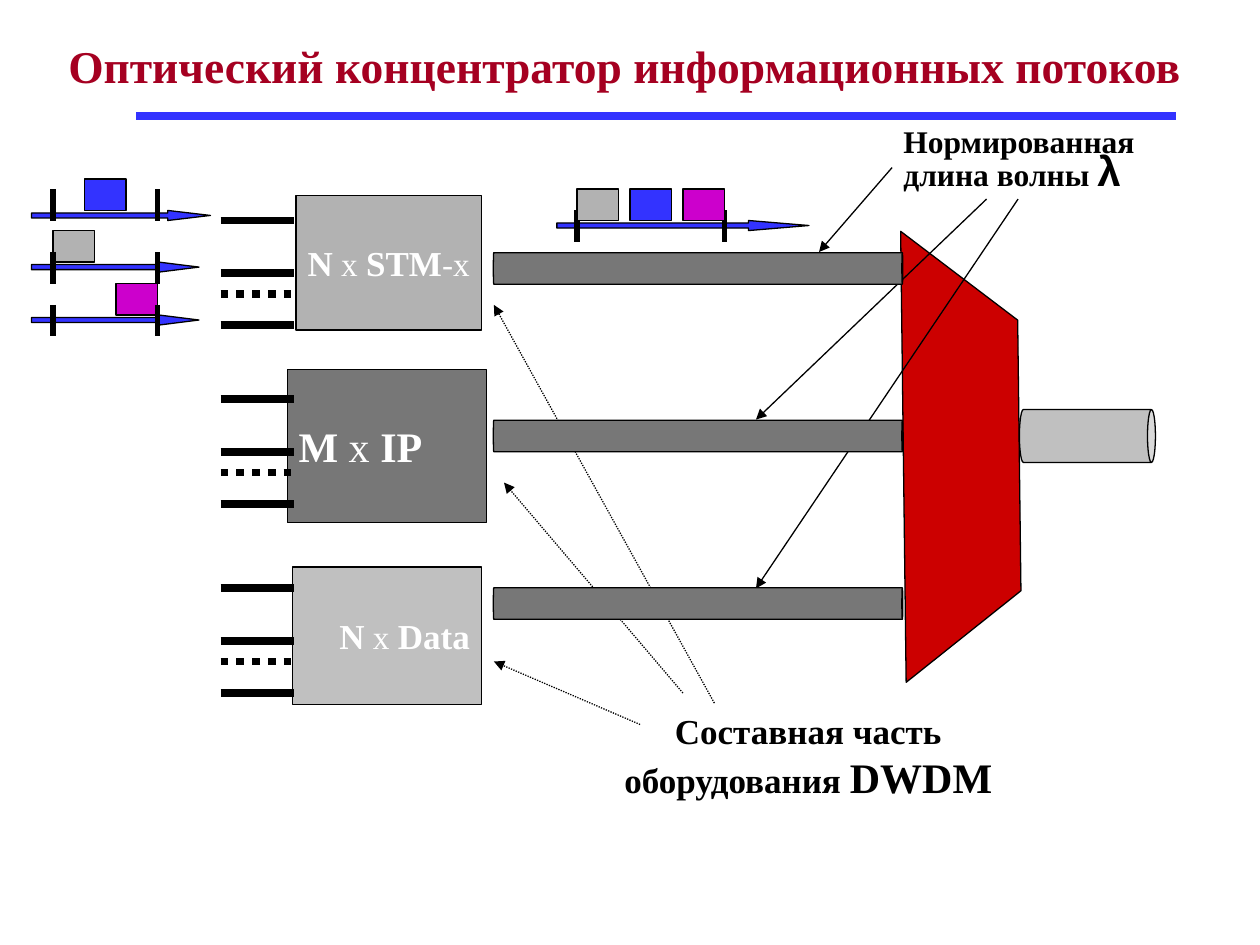
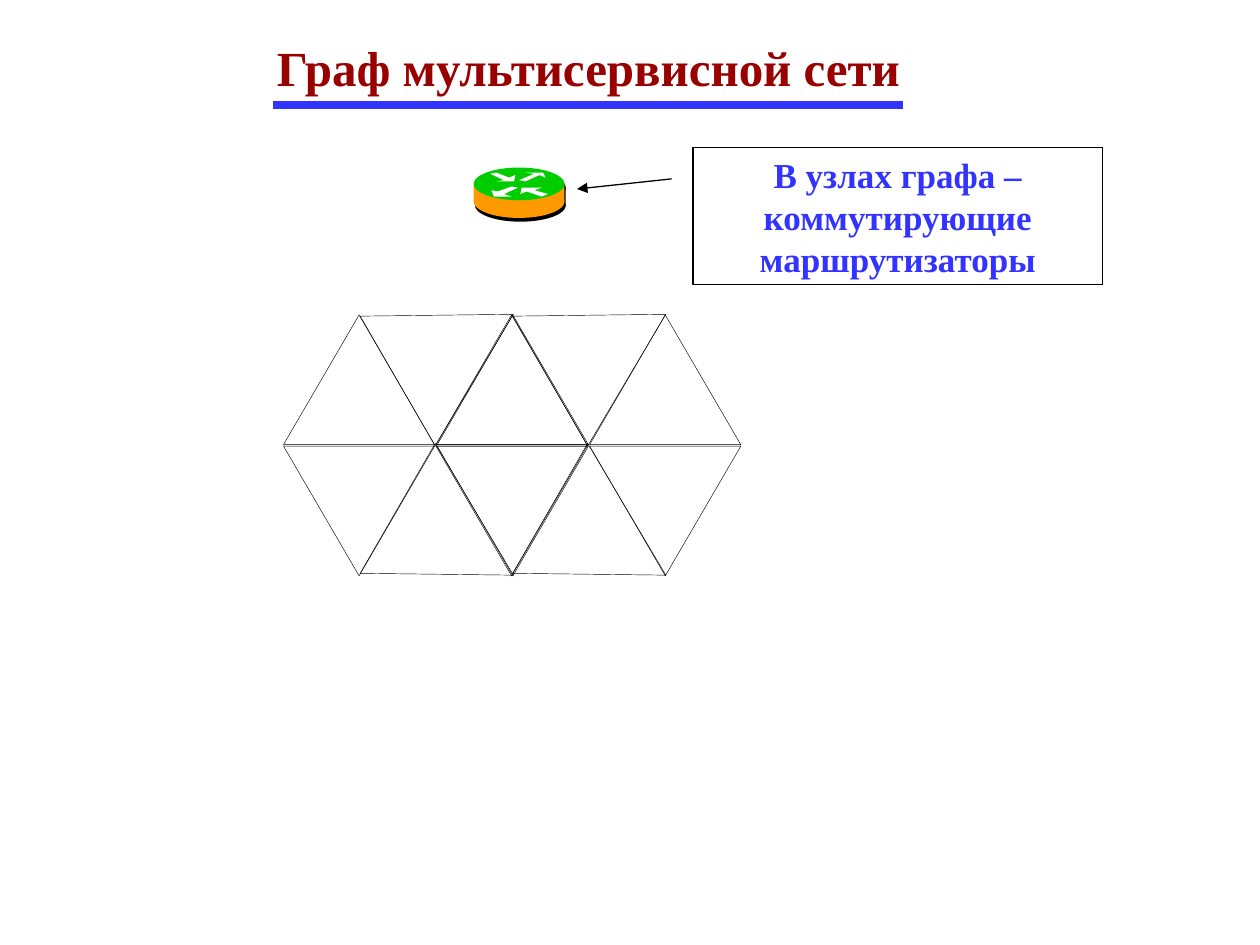
from dataclasses import dataclass
from typing import Optional

from lxml.etree import SubElement
from pptx import Presentation
from pptx.dml.color import RGBColor
from pptx.enum.dml import MSO_LINE
from pptx.enum.shapes import MSO_CONNECTOR, MSO_SHAPE as Kind
from pptx.enum.text import MSO_ANCHOR as Anchor, PP_ALIGN as Align
from pptx.oxml.ns import qn
from pptx.shapes.autoshape import Shape
from pptx.slide import Slide
from pptx.util import Inches, Pt

Point = tuple[float, float]
Area = tuple[float, float, float, float]


@dataclass(frozen=True)
class Theme:
    font: str = "Times New Roman"
    greek: str = "Arial"
    black: str = "000000"
    white: str = "FFFFFF"
    blue: str = "3333FF"
    pink: str = "CC00CC"
    silver: str = "B2B2B2"
    light: str = "C0C0C0"
    dark: str = "777777"
    red: str = "CC0000"
    wine: str = "A50021"
    maroon: str = "990000"
    orange: str = "FF9900"
    green: str = "00CD00"
    head: float = 28
    long_head: float = 26
    large: float = 24
    body: float = 20
    cross: float = 19
    note: float = 18
    hair: float = 0.25
    thin: float = 0.75
    tick: float = 3
    thick: float = 4.5


T = Theme()


@dataclass(frozen=True)
class Word:
    """A stretch of text in one style."""
    text: str
    size: float = T.body
    bold: bool = True
    font: str = T.font


@dataclass(frozen=True)
class Source:
    area: Area
    fill: str
    align: Align
    words: tuple[Word, ...]


@dataclass(frozen=True)
class Train:
    """A time axis with two ticks."""
    left: float
    top: float
    width: float
    head: float
    ticks: tuple[float, float]
    rise: float = 0.08


def paint(shape: Shape, fill: Optional[str], line: Optional[str] = T.black,
          width: float = T.thin) -> None:
    shape.shadow.inherit = False
    if fill:
        shape.fill.solid()
        shape.fill.fore_color.rgb = RGBColor.from_string(fill)
    else:
        shape.fill.background()
    if line:
        shape.line.color.rgb = RGBColor.from_string(line)
        shape.line.width = Pt(width)
    else:
        shape.line.fill.background()


def add(slide: Slide, kind: Kind, area: Area, fill: Optional[str],
        line: Optional[str] = T.black, width: float = T.thin,
        turn: float = 0, adj: tuple[float, ...] = ()) -> Shape:
    shape = slide.shapes.add_shape(kind, *map(Inches, area))
    paint(shape, fill, line, width)
    shape.rotation = turn
    for i, value in enumerate(adj):
        shape.adjustments[i] = value
    return shape


def link(slide: Slide, start: Point, end: Point, color: str = T.black,
         width: float = T.thin, dots: bool = False,
         arrow: bool = False) -> None:
    line = slide.shapes.add_connector(
        MSO_CONNECTOR.STRAIGHT, *map(Inches, start + end))
    line.line.color.rgb = RGBColor.from_string(color)
    line.line.width = Pt(width)
    if dots:
        line.line.dash_style = MSO_LINE.ROUND_DOT
    props = line.element.spPr
    if arrow:
        SubElement(props.find(qn("a:ln")), qn("a:tailEnd"), type="triangle")
    SubElement(props, qn("a:effectLst"))


def write(shape: Shape, words: tuple[Word, ...], color: str,
          align: Align = Align.CENTER, anchor: Anchor = Anchor.TOP,
          space: float = 1.0) -> None:
    frame = shape.text_frame
    frame.word_wrap = True
    frame.vertical_anchor = anchor
    frame.margin_left = frame.margin_right = Inches(0.09)
    frame.margin_top = frame.margin_bottom = Inches(0.05)
    para = frame.paragraphs[0]
    para.alignment = align
    para.line_spacing = space
    for word in words:
        run = para.add_run()
        run.text = word.text
        font = run.font
        font.name, font.size, font.bold = word.font, Pt(word.size), word.bold
        font.color.rgb = RGBColor.from_string(color)


def label(slide: Slide, area: Area, words: tuple[Word, ...],
          color: str = T.black, align: Align = Align.CENTER,
          space: float = 1.0) -> None:
    box = slide.shapes.add_textbox(*map(Inches, area))
    write(box, words, color, align, space=space)


def title(slide: Slide, area: Area, text: str, size: float, color: str,
          rule: tuple[float, float, float]) -> None:
    """Heading over a blue rule given as left, right and height."""
    left, right, y = rule
    link(slide, (left, y), (right, y), T.blue, T.thick)
    label(slide, area, (Word(text, size),), color)


def packet(slide: Slide, left: float, top: float, fill: str) -> None:
    add(slide, Kind.RECTANGLE, (left, top, 0.33, 0.25), fill)


def axis(slide: Slide, train: Train) -> None:
    add(slide, Kind.RIGHT_ARROW, (train.left, train.top, train.width, 0.08),
        T.blue, adj=(0.5, train.head))
    top = train.top - train.rise
    for x in train.ticks:
        link(slide, (x, top), (x, top + 0.25), width=T.tick)


def ports(slide: Slide, top: float) -> None:
    for drop, dots in ((0, False), (0.42, False), (0.83, False), (0.58, True)):
        y = top + drop
        link(slide, (1.75, y), (2.33, y), width=T.thick, dots=dots)


def fibre(slide: Slide, mid: Point, length: float, thick: float, fill: str,
          rim: float) -> None:
    """Cylinder lying on its side around a middle point."""
    area = (mid[0] - thick / 2, mid[1] - length / 2, thick, length)
    add(slide, Kind.CAN, area, fill, turn=90, adj=(rim,))


def hub(slide: Slide) -> None:
    title(slide, (0.17, 0.25, 9.58, 0.52),
          "Оптический концентратор информационных потоков", T.long_head,
          T.wine, (1.08, 9.33, 0.92))
    add(slide, Kind.FLOWCHART_MANUAL_OPERATION, (5.84, 3.16, 3.58, 0.92),
        T.red, turn=269.3)

    cross = Word(" x ", T.cross, False)
    sources = (
        Source((2.35, 1.55, 1.47, 1.07), T.silver, Align.CENTER,
               (Word("N"), cross, Word("STM"), Word("-x", T.cross, False))),
        Source((2.28, 2.93, 1.58, 1.22), T.dark, Align.LEFT,
               (Word("M", T.large), Word(" x ", T.large, False),
                Word("IP", T.large))),
        Source((2.32, 4.5, 1.5, 1.09), T.light, Align.RIGHT,
               (Word("N"), cross, Word("Data"))),
    )
    for src in sources:
        box = add(slide, Kind.RECTANGLE, src.area, src.fill)
        write(box, src.words, T.white, src.align, Anchor.MIDDLE)

    ends = (0.42, 1.25)
    inputs = (
        (Train(0.25, 1.67, 1.42, 4.24, ends, 0.17), 0.67, T.blue),
        (Train(0.25, 2.08, 1.33, 4.01, ends), 0.42, T.silver),
        (Train(0.25, 2.5, 1.33, 3.99, ends), 0.92, T.pink),
    )
    for train, left, fill in inputs:
        packet(slide, left, train.top - 0.25, fill)
        axis(slide, train)
    axis(slide, Train(4.42, 1.75, 2, 5.99, (4.58, 5.75)))
    for top in (1.75, 3.17, 4.67):
        ports(slide, top)

    label(slide, (7.08, 1, 2.67, 0.58),
          (Word("Нормированная длина волны ", T.note),
           Word("λ", T.large, font=T.greek)), align=Align.LEFT, space=0.7)
    for start, end in (((7.08, 1.33), (6.5, 2)), ((7.83, 1.58), (6, 3.33)),
                       ((8.08, 1.58), (6, 4.67))):
        link(slide, start, end, arrow=True)
    label(slide, (4.5, 5.58, 3.83, 0.82),
          (Word("Составная часть оборудования "), Word("DWDM", T.large)))
    for start, end in (((5.08, 5.75), (3.92, 5.25)), ((5.42, 5.5), (4, 3.83)),
                       ((5.67, 5.58), (3.92, 2.42))):
        link(slide, start, end, dots=True, arrow=True)

    for i in range(3):
        fibre(slide, (5.54, 2.13 + i * 1.33), 3.25, 0.25, T.dark, 0.03)
    fibre(slide, (8.63, 3.46), 1.08, 0.42, T.light, 0.15)
    for i, fill in enumerate((T.silver, T.blue, T.pink)):
        packet(slide, 4.58 + i * 0.42, 1.5, fill)


def router(slide: Slide) -> None:
    drums = ((3.77, 1.36, T.black, T.black), (3.76, 1.33, T.orange, T.green))
    for left, top, side, lid in drums:
        add(slide, Kind.RECTANGLE, (left, top + 0.13, 0.72, 0.14), side, None)
        for drop, fill in ((0.14, side), (0, lid)):
            add(slide, Kind.OVAL, (left, top + drop, 0.72, 0.26), fill, None)
    arrows = (
        ((3.89, 1.38), (3.94, 1.37), (4.04, 1.41), (4.09, 1.39),
         (4.08, 1.44), (3.94, 1.44), (4, 1.43)),
        ((4.35, 1.54), (4.3, 1.56), (4.18, 1.52), (4.13, 1.54),
         (4.14, 1.49), (4.3, 1.49), (4.24, 1.51)),
        ((4.12, 1.43), (4.17, 1.44), (4.28, 1.39), (4.33, 1.41),
         (4.31, 1.37), (4.17, 1.37), (4.24, 1.38)),
        ((4.11, 1.49), (4.06, 1.48), (3.95, 1.52), (3.9, 1.51),
         (3.92, 1.56), (4.06, 1.56), (4, 1.54)),
    )
    for arrow in arrows:
        dots = [(Inches(x), Inches(y)) for x, y in arrow]
        outline = slide.shapes.build_freeform(*dots[0])
        outline.add_line_segments(dots[1:])
        paint(outline.convert_to_shape(), T.white, None)


def mesh(slide: Slide) -> None:
    """Two hexagons side by side, each of six triangles."""
    for left in (3.46, 2.25):
        for outer, inner, turn, tilt in ((3.54, 3.77, 180, 120),
                                         (2.5, 2.23, 0, 60)):
            cells = (((left, outer, 1.2, 1.03), turn),
                     ((left + 0.77, inner, 1.19, 1.06), tilt),
                     ((left + 1.22, outer, 1.2, 1.03), turn))
            for area, spin in cells:
                add(slide, Kind.ISOSCELES_TRIANGLE, area, None,
                    width=T.hair, turn=spin)


def graph(slide: Slide) -> None:
    router(slide)
    mesh(slide)
    title(slide, (1.42, 0.25, 6.5, 0.56), "Граф мультисервисной сети",
          T.head, T.maroon, (2.17, 7.17, 0.83))
    box = add(slide, Kind.RECTANGLE, (5.5, 1.17, 3.25, 1.09), None)
    write(box, (Word("В узлах графа – коммутирующие маршрутизаторы"),), T.blue)
    link(slide, (5.33, 1.42), (4.58, 1.5), arrow=True)


def main() -> None:
    deck = Presentation()
    deck.slide_width, deck.slide_height = Inches(10), Inches(7.5)
    for draw in (hub, graph):
        draw(deck.slides.add_slide(deck.slide_layouts[6]))
    deck.save("out.pptx")


if __name__ == "__main__":
    main()
